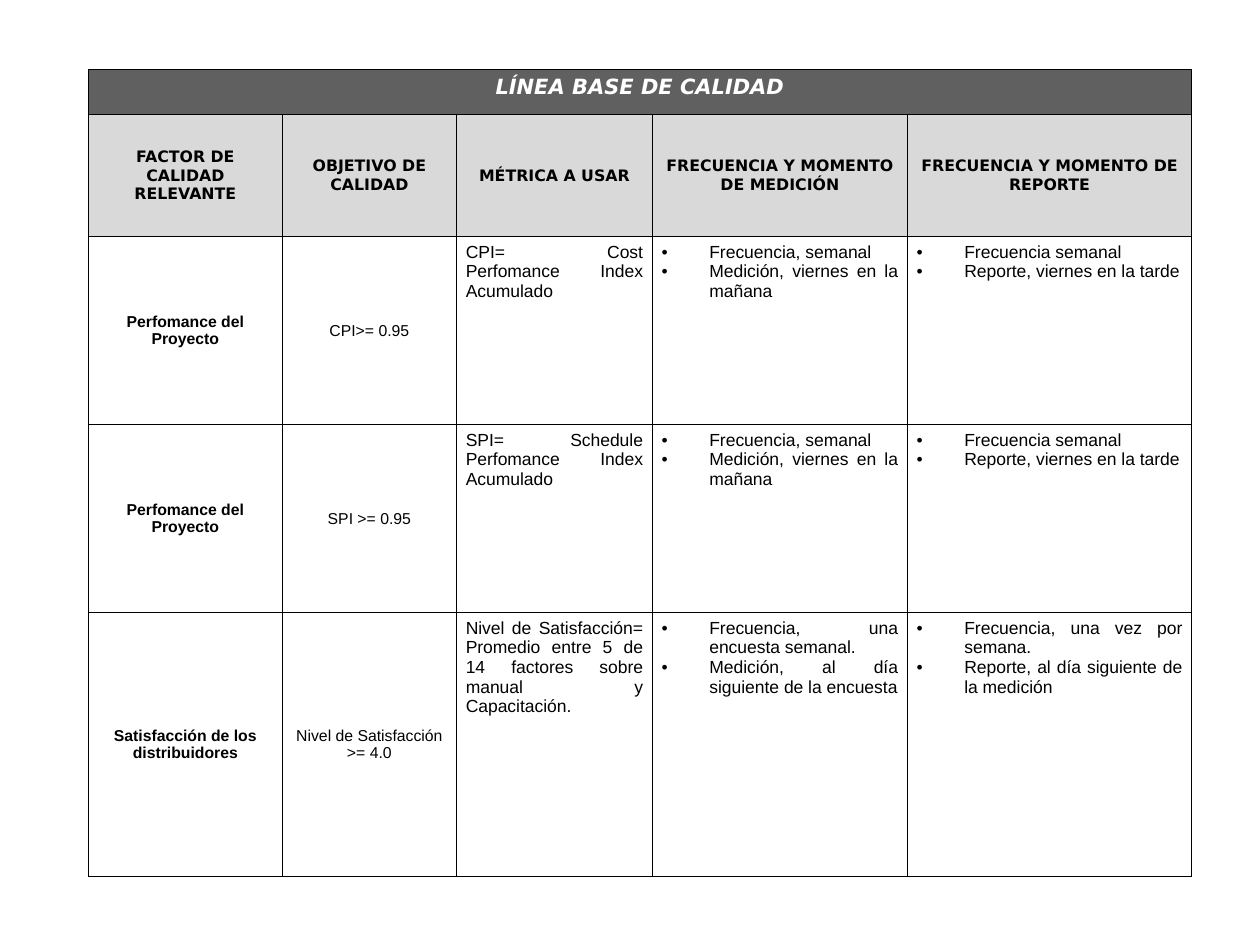
from lxml import etree
from pptx import Presentation
from pptx import util as u
from pptx.dml.color import RGBColor
from pptx.enum import text
from pptx.oxml import ns

HUES = {"ink": "000000", "white": "FFFFFF", "band": "606060", "head": "D9D9D9"}
COLS = [3.91, 3.51, 3.95, 5.14, 5.73]
ROWS = [0.91, 2.46, 3.79, 3.79, 5.32]
LEFT, TOP = 1.78, 1.4
INDENT = 0.96

# Cell formats
MID, HIGH = text.MSO_ANCHOR.MIDDLE, text.MSO_ANCHOR.TOP
CENTER, JUST = text.PP_ALIGN.CENTER, text.PP_ALIGN.JUSTIFY


def style(face, size, align, anchor, hue="ink", fill=None, dots=False, **more):
    font = {"name": face, "size": u.Pt(size), "bold": False, "italic": False}
    return {"font": {**font, **more}, "align": align, "anchor": anchor,
            "hue": hue, "fill": fill, "dots": dots}


TITLE = style("DejaVu Sans", 12, CENTER, HIGH, "white", "band", bold=True, italic=True)
HEAD = style("DejaVu Sans", 9, CENTER, MID, fill="head", bold=True)
FACTOR = style("Arial", 9, CENTER, MID, bold=True)
GOAL = style("Arial", 9, CENTER, MID)
METRIC = style("Arial", 10, JUST, HIGH)
LIST = style("Arial", 10, JUST, HIGH, dots=True)
BODY = [FACTOR, GOAL, METRIC, LIST, LIST]

# Table wording
NAME = "LÍNEA BASE DE CALIDAD"
HEADS = ["FACTOR DE CALIDAD RELEVANTE", "OBJETIVO DE CALIDAD", "MÉTRICA A USAR",
         "FRECUENCIA Y MOMENTO DE MEDICIÓN", "FRECUENCIA Y MOMENTO DE REPORTE"]
WEEKLY = ["Frecuencia, semanal\nMedición, viernes en la mañana",
          "Frecuencia semanal\nReporte, viernes en la tarde"]
ITEMS = [
    ["Perfomance del Proyecto", "CPI>= 0.95",
     "CPI= Cost Perfomance Index Acumulado", *WEEKLY],
    ["Perfomance del Proyecto", "SPI >= 0.95",
     "SPI= Schedule Perfomance Index Acumulado", *WEEKLY],
    ["Satisfacción de los distribuidores", "Nivel de Satisfacción >= 4.0",
     "Nivel de Satisfacción= Promedio entre 5 de 14 factores sobre manual y Capacitación.",
     "Frecuencia, una encuesta semanal.\nMedición, al día siguiente de la encuesta",
     "Frecuencia, una vez por semana.\nReporte, al día siguiente de la medición"],
]


def put(item, values):
    for key, value in values.items():
        setattr(item, key, value)


def add_node(parent, tag, **attrs):
    return etree.SubElement(parent, ns.qn(tag), attrs)


def add_edges(cell):
    props = cell._tc.get_or_add_tcPr()
    for side in "LRTB":
        line = add_node(props, f"a:ln{side}", w=str(u.Pt(0.45)))
        add_node(add_node(line, "a:solidFill"), "a:srgbClr", val=HUES["ink"])


def add_dot(para):
    props = para._p.get_or_add_pPr()
    props.set("marL", str(u.Cm(INDENT)))
    props.set("indent", str(-u.Cm(INDENT)))
    add_node(add_node(props, "a:buClr"), "a:srgbClr", val=HUES["ink"])
    add_node(props, "a:buFont", typeface="Arial")
    add_node(props, "a:buChar", char="•")


def fill_cell(cell, words, look):
    put(cell, {"vertical_anchor": look["anchor"],
               "margin_left": u.Cm(0.19), "margin_right": u.Cm(0.19),
               "margin_top": u.Cm(0.12), "margin_bottom": u.Cm(0.12)})
    if look["fill"]:
        cell.fill.solid()
        cell.fill.fore_color.rgb = RGBColor.from_string(HUES[look["fill"]])
    else:
        cell.fill.background()
    cell.text_frame.text = words
    for para in cell.text_frame.paragraphs:
        para.alignment = look["align"]
        font = para.runs[0].font
        put(font, look["font"])
        font.color.rgb = RGBColor.from_string(HUES[look["hue"]])
        if look["dots"]:
            add_dot(para)


def add_grid(slide):
    frame = slide.shapes.add_table(len(ROWS), len(COLS), u.Cm(LEFT), u.Cm(TOP),
                                   u.Cm(sum(COLS)), u.Cm(sum(ROWS)))
    grid = frame.table
    put(grid, {"first_row": False, "horz_banding": False})
    for col, width in zip(grid.columns, COLS):
        col.width = u.Cm(width)
    for row, height in zip(grid.rows, ROWS):
        row.height = u.Cm(height)
    for cell in grid.iter_cells():
        add_edges(cell)
    return grid


def fill_row(grid, row, words, looks):
    for col, (word, look) in enumerate(zip(words, looks)):
        fill_cell(grid.cell(row, col), word, look)


def main():
    deck = Presentation()
    put(deck, {"slide_width": u.Inches(10), "slide_height": u.Inches(7.5)})
    slide = deck.slides.add_slide(deck.slide_layouts[6])
    grid = add_grid(slide)

    # Title band across all columns
    grid.cell(0, 0).merge(grid.cell(0, len(COLS) - 1))
    fill_cell(grid.cell(0, 0), NAME, TITLE)

    # Column heads and quality factors
    fill_row(grid, 1, HEADS, [HEAD] * len(COLS))
    for row, words in enumerate(ITEMS, start=2):
        fill_row(grid, row, words, BODY)
    deck.save("out.pptx")


if __name__ == "__main__":
    main()
